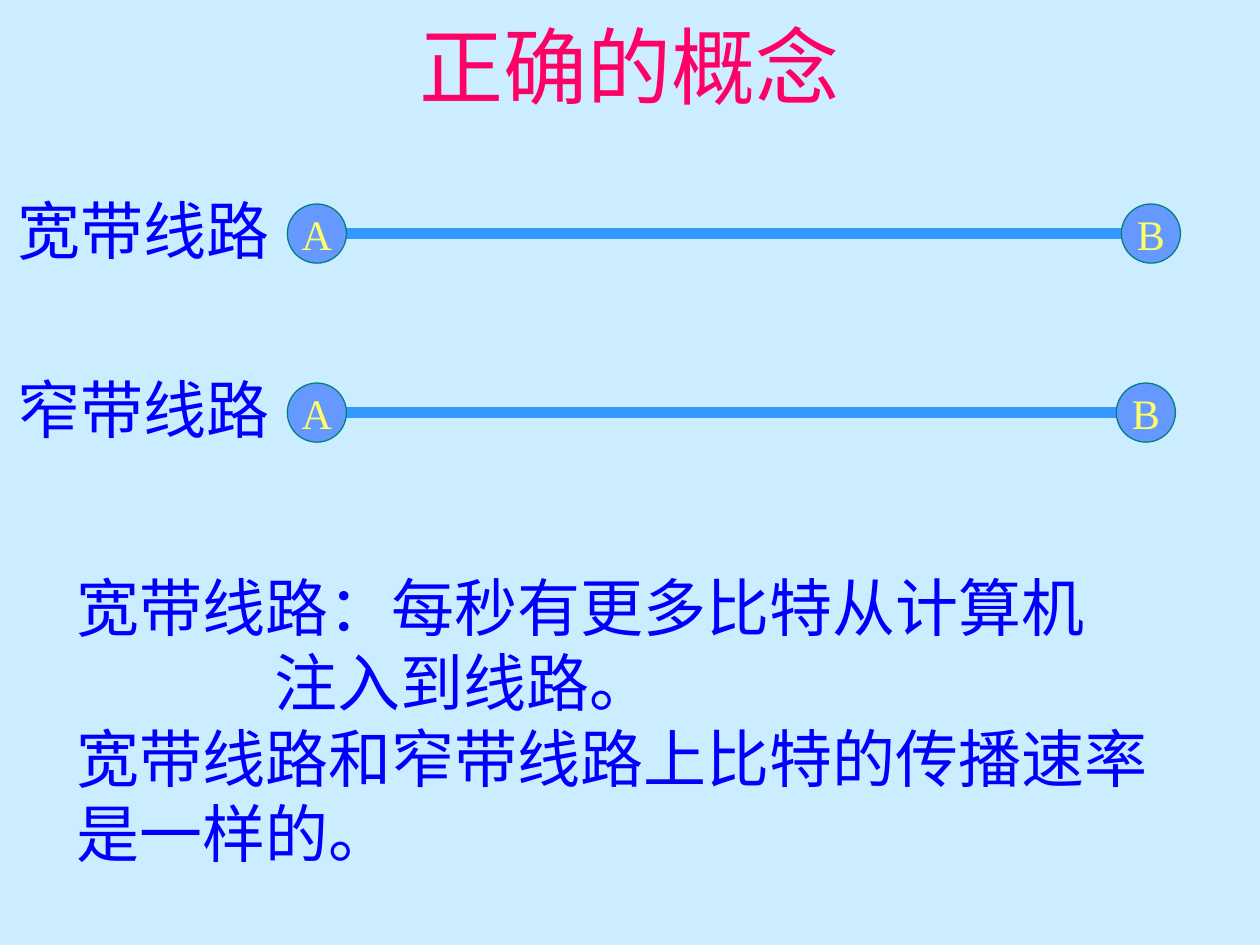
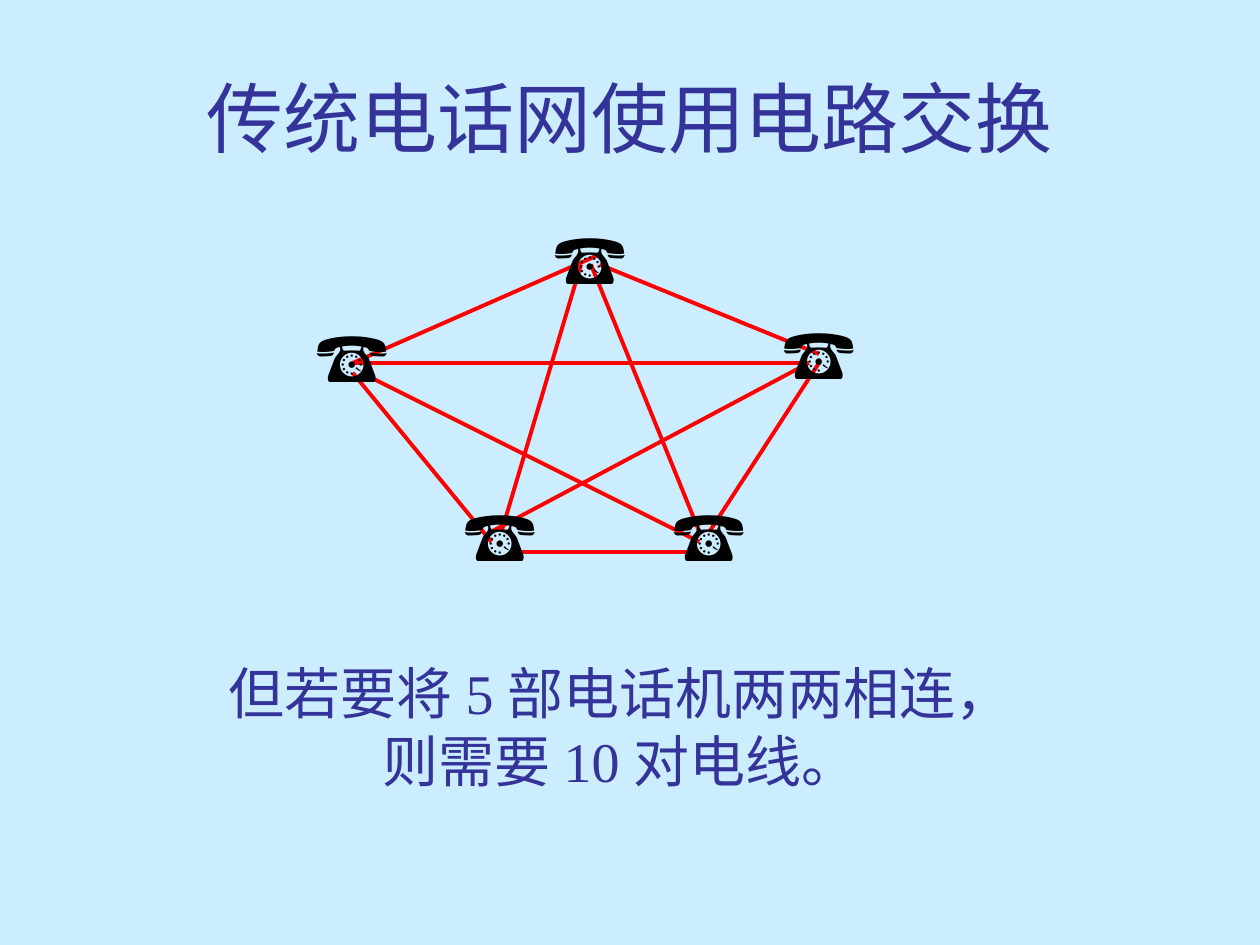
from typing import NamedTuple

from lxml import etree
from pptx import Presentation
from pptx.dml.color import RGBColor
from pptx.enum.shapes import MSO_CONNECTOR, MSO_SHAPE
from pptx.enum.text import MSO_ANCHOR, MSO_AUTO_SIZE, PP_ALIGN
from pptx.oxml.ns import qn
from pptx.util import Pt

STRAIGHT = MSO_CONNECTOR.STRAIGHT
OVAL = MSO_SHAPE.OVAL
MIDDLE = MSO_ANCHOR.MIDDLE
FIT_SHAPE, FIXED = MSO_AUTO_SIZE.SHAPE_TO_FIT_TEXT, MSO_AUTO_SIZE.NONE
LEFT, CENTER = PP_ALIGN.LEFT, PP_ALIGN.CENTER

COLORS = {
    "background": "CCECFF",
    "concept_title": "FF0066",
    "concept_text": "0000FF",
    "network_text": "333399",
    "channel": "3399FF",
    "node": "6699FF",
    "node_edge": "008080",
    "node_letter": "FFFF66",
    "wire": "FF0000",
    "phone": "000000",
}
SERIF, SANS = "Times New Roman", "Arial"
BLANK_LAYOUT = 6
NODE_SIZE = 33.8
NODE_A_LEFT = 164.2
CONTINUATION_INDENT = 113


class Box(NamedTuple):
    left: float
    top: float
    width: float
    height: float


class Style(NamedTuple):
    size: float
    font: str
    color: str
    align: PP_ALIGN = LEFT


class Channel(NamedTuple):
    label: str
    top: float
    node_b_left: float


class Wire(NamedTuple):
    x1: float
    y1: float
    x2: float
    y2: float


LABEL = Style(36, SERIF, "concept_text")
NODE_LETTER = Style(24, SERIF, "node_letter", CENTER)
NETWORK_NOTE = Style(32, SERIF, "network_text", CENTER)
PHONE = Style(40, SANS, "phone")

CHANNELS = [
    Channel("宽带线路", 116.6, 640.8),
    Channel("窄带线路", 218.9, 637.9),
]
PHONE_CORNERS = [
    (309.6, 118.8), (173.5, 175), (258.5, 277.2), (440.6, 173.5), (378, 277.2),
]
WIRES = [
    Wire(332, 151.2, 286.6, 303.8),
    Wire(206.6, 213.1, 399.6, 309.6),
    Wire(201.6, 213.1, 280.8, 309.6),
    Wire(201.6, 207.4, 342.7, 145.4),
    Wire(201.6, 207.4, 462.2, 207.4),
    Wire(342.7, 151.2, 468, 202.3),
    Wire(292.3, 315.4, 399.6, 315.4),
    Wire(405.4, 303.8, 468, 207.4),
    Wire(337.7, 151.2, 399.6, 303.8),
    Wire(280.8, 303.8, 462.2, 207.4),
]


def rgb(name: str) -> RGBColor:
    return RGBColor.from_string(COLORS[name])


def write(frame, lines: list[str], style: Style) -> None:
    """Fill the frame with one paragraph per line."""
    frame.text = "\n".join(lines)
    for paragraph in frame.paragraphs:
        paragraph.alignment = style.align
        for run in paragraph.runs:
            run.font.size = Pt(style.size)
            run.font.name = style.font
            run.font.color.rgb = rgb(style.color)


def add_text(slide, box: Box, lines: list[str], style: Style, wrap: bool = False):
    frame = slide.shapes.add_textbox(*map(Pt, box)).text_frame
    write(frame, lines, style)
    frame.word_wrap = wrap
    frame.auto_size = FIT_SHAPE
    return frame


def add_title(slide, text: str, top: float, size: float, color: str) -> None:
    style = Style(size, SANS, color, CENTER)
    frame = add_text(slide, Box(36, top, 648, 90), [text], style, wrap=True)
    frame.auto_size = FIXED
    frame.vertical_anchor = MIDDLE


def add_line(slide, wire: Wire, width: float, color: str) -> None:
    line = slide.shapes.add_connector(STRAIGHT, *map(Pt, wire))
    line.line.width = Pt(width)
    line.line.color.rgb = rgb(color)
    etree.SubElement(line._element.spPr, qn("a:effectLst"))


def add_node(slide, letter: str, left: float, top: float) -> None:
    box = Box(left, top, NODE_SIZE, NODE_SIZE)
    node = slide.shapes.add_shape(OVAL, *map(Pt, box))
    node.shadow.inherit = False
    node.fill.solid()
    node.fill.fore_color.rgb = rgb("node")
    node.line.color.rgb = rgb("node_edge")
    node.line.width = Pt(0.75)
    write(node.text_frame, [letter], NODE_LETTER)
    node.text_frame.word_wrap = False
    node.text_frame.vertical_anchor = MIDDLE


def add_channel(slide, channel: Channel) -> None:
    """Draw a labelled line between nodes A and B."""
    radius = NODE_SIZE / 2
    middle = channel.top + radius
    wire = Wire(NODE_A_LEFT + radius, middle, channel.node_b_left + radius, middle)
    add_line(slide, wire, 6, "channel")
    add_node(slide, "A", NODE_A_LEFT, channel.top)
    add_node(slide, "B", channel.node_b_left, channel.top)
    add_text(slide, Box(2.9, channel.top - 10.8, 158.4, 50.4), [channel.label], LABEL)


def add_slide(deck):
    slide = deck.slides.add_slide(deck.slide_layouts[BLANK_LAYOUT])
    slide.background.fill.solid()
    slide.background.fill.fore_color.rgb = rgb("background")
    return slide


def build_concept_slide(deck) -> None:
    slide = add_slide(deck)
    for channel in CHANNELS:
        add_channel(slide, channel)
    explanation = add_text(
        slide,
        Box(36.7, 321.1, 652.3, 180),
        [
            "宽带线路：每秒有更多比特从计算机",
            "注入到线路。",
            "宽带线路和窄带线路上比特的传播速率是一样的。",
        ],
        LABEL,
        wrap=True,
    )
    continuation = explanation.paragraphs[1]._p.get_or_add_pPr()
    continuation.set("marL", str(Pt(CONTINUATION_INDENT)))
    add_title(slide, "正确的概念", -7.9, 48, "concept_title")


def build_network_slide(deck) -> None:
    slide = add_slide(deck)
    for wire in WIRES:
        add_line(slide, wire, 2.25, "wire")
    note = ["但若要将 5 部电话机两两相连，", "则需要 10 对电线。"]
    add_text(slide, Box(115.9, 373, 477.4, 84.2), note, NETWORK_NOTE)
    add_title(slide, "传统电话网使用电路交换", 21.6, 44, "network_text")
    for left, top in PHONE_CORNERS:
        add_text(slide, Box(left, top, 66.2, 55.4), ["☎"], PHONE)


def main() -> None:
    deck = Presentation()
    deck.slide_width, deck.slide_height = Pt(720), Pt(540)
    build_concept_slide(deck)
    build_network_slide(deck)
    deck.save("out.pptx")


if __name__ == "__main__":
    main()
